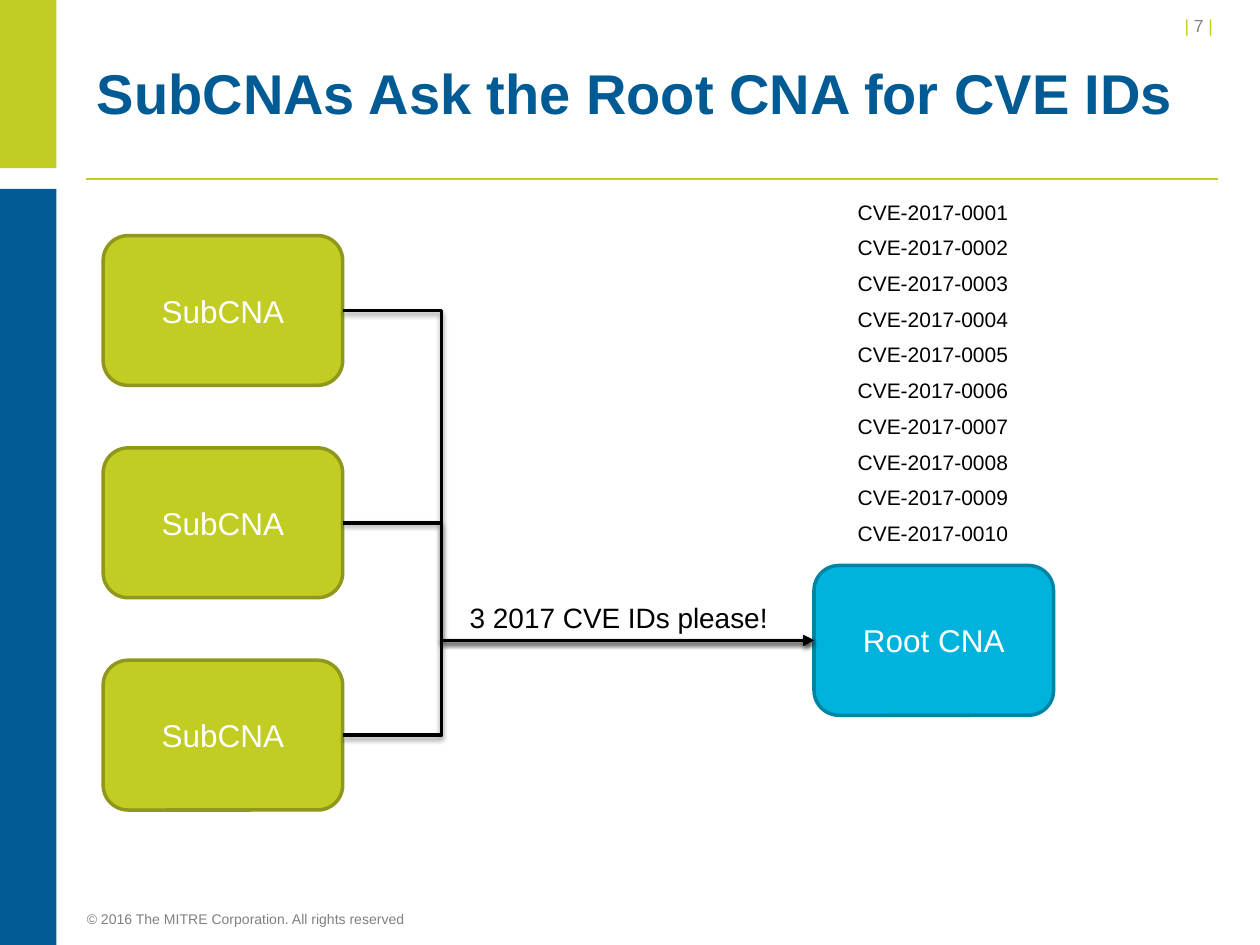
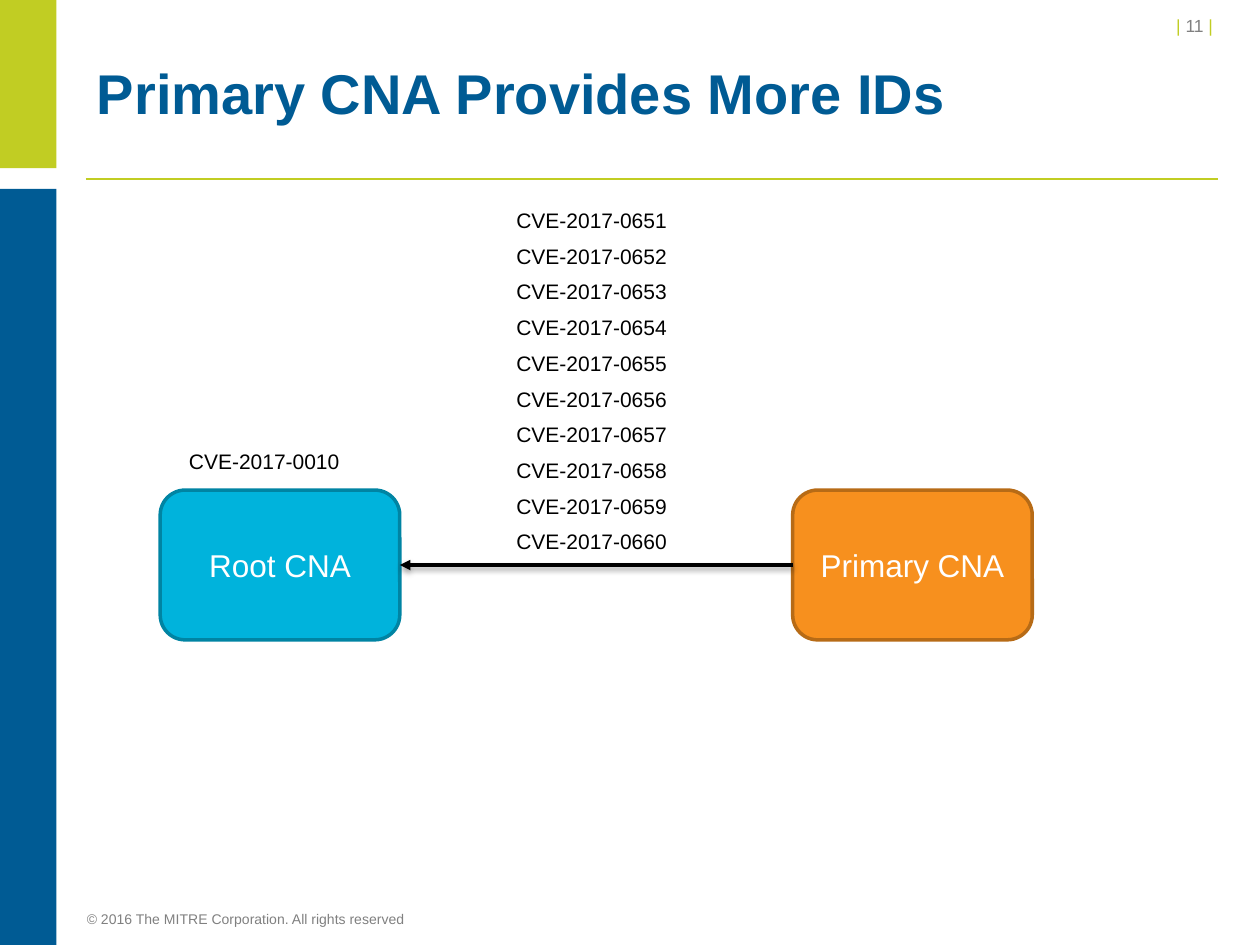
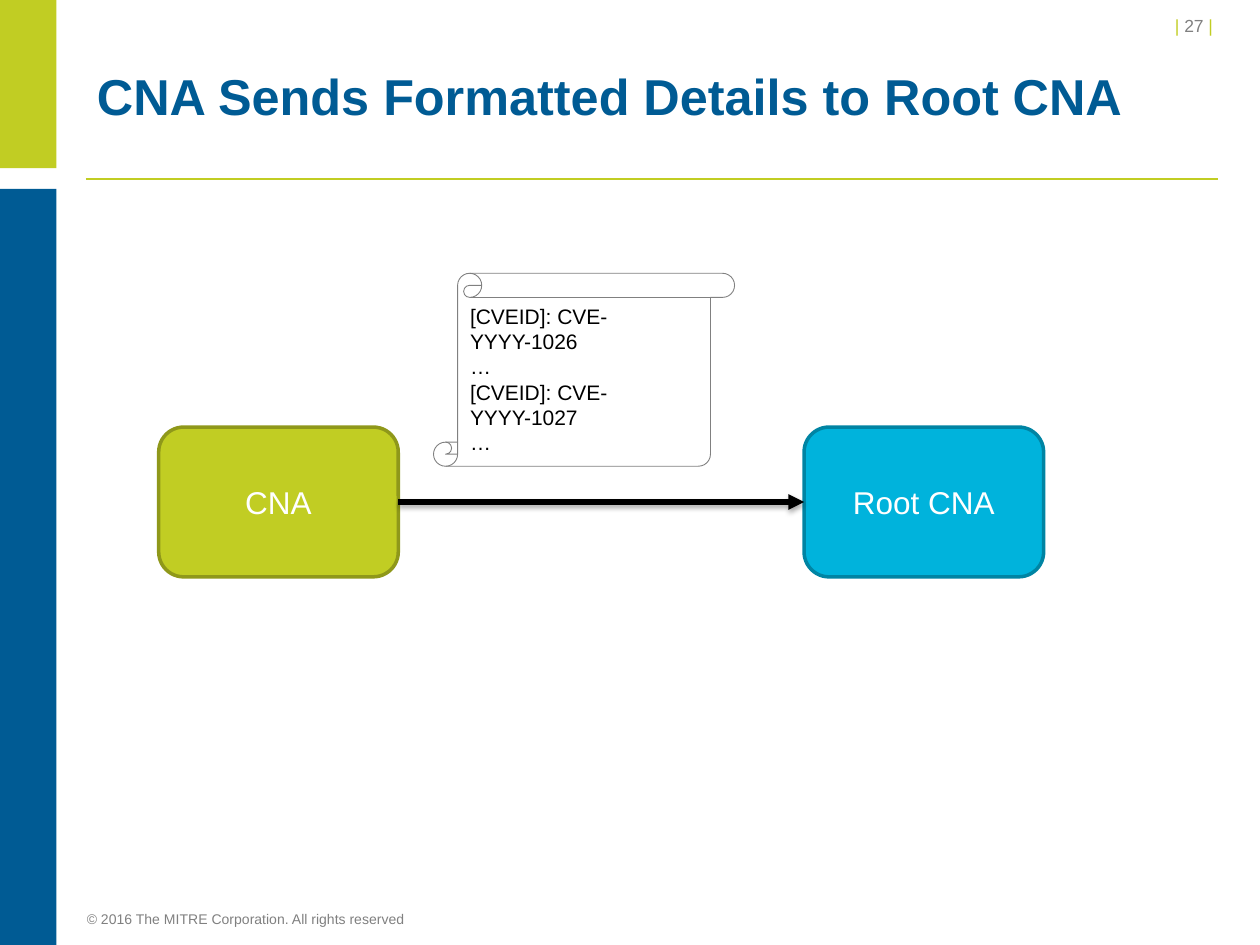
from dataclasses import dataclass

import pptx
import pptx.dml.color
import pptx.enum.shapes
import pptx.enum.text
import pptx.oxml
import pptx.oxml.ns
import pptx.util
from pptx.util import Cm

Shapes = pptx.enum.shapes.MSO_SHAPE
Connectors = pptx.enum.shapes.MSO_CONNECTOR
Anchor = pptx.enum.text.MSO_ANCHOR
Align = pptx.enum.text.PP_ALIGN
AutoSize = pptx.enum.text.MSO_AUTO_SIZE


@dataclass(frozen=True)
class Theme:
    font: str = "Arial"
    lime: str = "C1CD23"
    lime_edge: str = "8F981A"
    navy: str = "005B94"
    cyan: str = "00B3DC"
    cyan_edge: str = "0084A3"
    orange: str = "F7901E"
    orange_edge: str = "B76B16"
    gray: str = "808080"
    black: str = "000000"
    white: str = "FFFFFF"
    title_size: float = 32
    title_small_size: float = 28.8
    node_size: float = 18
    message_size: float = 16
    list_size: float = 12
    number_size: float = 10
    footer_size: float = 8


@dataclass(frozen=True)
class Box:
    """A region in centimetres."""
    left: float
    top: float
    width: float
    height: float

    def inner(self, left, top, width, height):
        return Box(self.left + left, self.top + top, width, height)

    def lengths(self):
        return Cm(self.left), Cm(self.top), Cm(self.width), Cm(self.height)


THEME = Theme()
PAGE = Box(0, 0, 25.4, 19.05)
BODY = Box(1.7, 3.6, 22.86, 14.5)
NODE = (4.83, 3.02)
ID_LIST = (3.56, 7.32)
FOOTER = "© 2016 The MITRE Corporation. All rights reserved"
LIME = (THEME.lime, THEME.lime_edge)
CYAN = (THEME.cyan, THEME.cyan_edge)
ORANGE = (THEME.orange, THEME.orange_edge)


# Basic parts
def rgb(color):
    return pptx.dml.color.RGBColor.from_string(color)


def style_font(font, size, color, bold=False):
    font.name = THEME.font
    font.size = pptx.util.Pt(size)
    font.bold = bold
    font.color.rgb = rgb(color)


def write(shape, text, size, color, align=Align.LEFT, space_after=0):
    shape.text_frame.text = text
    for paragraph in shape.text_frame.paragraphs:
        paragraph.alignment = align
        paragraph.space_after = pptx.util.Pt(space_after)
        for run in paragraph.runs:
            style_font(run.font, size, color)


def add_shape(slide, kind, box, fill=None, edge=None, edge_width=2):
    shape = slide.shapes.add_shape(kind, *box.lengths())
    shape.shadow.inherit = False
    if fill:
        shape.fill.solid()
        shape.fill.fore_color.rgb = rgb(fill)
    else:
        shape.fill.background()
    if edge:
        shape.line.color.rgb = rgb(edge)
        shape.line.width = pptx.util.Pt(edge_width)
    else:
        shape.line.fill.background()
    return shape


def add_node(slide, box, text, colors):
    node = add_shape(slide, Shapes.ROUNDED_RECTANGLE, box, *colors)
    node.text_frame.vertical_anchor = Anchor.MIDDLE
    write(node, text, THEME.node_size, THEME.white, Align.CENTER)
    return node


def add_label(slide, box, text, size=THEME.list_size):
    label = slide.shapes.add_textbox(*box.lengths())
    label.text_frame.word_wrap = False
    label.text_frame.auto_size = AutoSize.SHAPE_TO_FIT_TEXT
    write(label, text, size, THEME.black, space_after=6)


def id_lines(first, last):
    return "\n".join(f"CVE-2017-{number:04d}" for number in range(first, last + 1))


# Connectors
def style_line(connector, color, width, effects=""):
    connector.line.color.rgb = rgb(color)
    connector.line.width = pptx.util.Pt(width)
    namespace = pptx.oxml.ns.nsdecls("a")
    connector._element.spPr.append(pptx.oxml.parse_xml(
        f"<a:effectLst {namespace}>{effects}</a:effectLst>"))


def add_arrow(slide, start, start_side, end, end_side, width=2, opacity=38, bend=None):
    kind = Connectors.STRAIGHT if bend is None else Connectors.ELBOW
    arrow = slide.shapes.add_connector(kind, 0, 0, 0, 0)
    arrow.begin_connect(start, start_side)
    arrow.end_connect(end, end_side)
    style_line(arrow, THEME.black, width,
               '<a:outerShdw blurRad="39370" dist="20320" dir="5400000" rotWithShape="0">'
               f'<a:srgbClr val="{THEME.black}"><a:alpha val="{opacity * 1000}"/></a:srgbClr>'
               '</a:outerShdw>')
    namespace = pptx.oxml.ns.nsdecls("a")
    arrow.line._get_or_add_ln().append(
        pptx.oxml.parse_xml(f'<a:tailEnd {namespace} type="triangle"/>'))
    if bend is not None:
        geometry = arrow._element.spPr.find(pptx.oxml.ns.qn("a:prstGeom"))
        for child in list(geometry):
            geometry.remove(child)
        geometry.append(pptx.oxml.parse_xml(
            f'<a:avLst {namespace}><a:gd name="adj1" fmla="val {round(bend * 100000)}"/></a:avLst>'))


# Frame shared by all slides
def add_frame(slide, box, number):
    rule = slide.shapes.add_connector(
        Connectors.STRAIGHT, Cm(box.left + 1.73), Cm(box.top + 3.61),
        Cm(box.left + 24.56), Cm(box.top + 3.61))
    style_line(rule, THEME.lime, 1)
    add_shape(slide, Shapes.RECTANGLE, box.inner(0, 0, 1.14, 3.39), THEME.lime)
    add_shape(slide, Shapes.RECTANGLE, box.inner(0, 3.81, 1.14, 15.24), THEME.navy)

    page_number = slide.shapes.add_textbox(*box.inner(20.35, 0.18, 4.45, 0.69).lengths())
    page_number.text_frame.word_wrap = True
    paragraph = page_number.text_frame.paragraphs[0]
    paragraph.alignment = Align.RIGHT
    for text, color in (("| ", THEME.lime), (f"{number} ", THEME.gray), ("| ", THEME.lime)):
        run = paragraph.add_run()
        run.text = text
        style_font(run.font, THEME.number_size, color)

    footer = slide.shapes.add_textbox(*box.inner(1.75, 18.36, 12.7, 0.33).lengths())
    frame = footer.text_frame
    frame.word_wrap = True
    frame.margin_left = frame.margin_right = frame.margin_top = frame.margin_bottom = 0
    write(footer, FOOTER, THEME.footer_size, THEME.gray)


def set_title(slide, box, text, size):
    title = slide.shapes.title
    title.left, title.top, title.width, title.height = box.lengths()
    frame = title.text_frame
    frame.text = text
    frame.word_wrap = True
    frame.auto_size = AutoSize.NONE
    frame.vertical_anchor = Anchor.MIDDLE
    paragraph = frame.paragraphs[0]
    paragraph.alignment = Align.LEFT
    paragraph.line_spacing = pptx.util.Pt(32)
    style_font(paragraph.runs[0].font, size, THEME.navy, bold=True)


def start_slide(presentation, number, title, title_size=THEME.title_size):
    slide = presentation.slides.add_slide(presentation.slide_layouts[5])
    add_frame(slide, PAGE, number)
    set_title(slide, PAGE.inner(1.7, 0.76, 22.86, 2.41), title, title_size)
    return slide


# Slide bodies
def draw_id_request(slide, box):
    root = add_node(slide, box.inner(14.71, 7.8, *NODE), "Root CNA", CYAN)
    add_label(slide, box.inner(15.34, 0.29, *ID_LIST), id_lines(1, 10))
    for row in range(3):
        sub = add_node(slide, box.inner(0.38, 1.15 + 4.28 * row, *NODE), "SubCNA", LIME)
        add_arrow(slide, sub, 3, root, 1, bend=0.21)
    add_label(slide, box.inner(7.52, 8.39, 6.58, 0.94), "3 2017 CVE IDs please!",
              THEME.message_size)


def draw_id_supply(slide, box):
    root = add_node(slide, box.inner(1.53, 6.28, *NODE), "Root CNA", CYAN)
    add_label(slide, box.inner(1.86, 5.32, 3.56, 0.76), id_lines(10, 10))
    primary = add_node(slide, box.inner(14.28, 6.28, *NODE), "Primary CNA", ORANGE)
    add_arrow(slide, primary, 1, root, 3)
    add_label(slide, box.inner(8.46, 0.46, *ID_LIST), id_lines(651, 660))


def draw_details_transfer(slide, box):
    sender = add_node(slide, box.inner(1.5, 5.01, *NODE), "CNA", LIME)
    root = add_node(slide, box.inner(14.51, 5.01, *NODE), "Root CNA", CYAN)
    add_arrow(slide, sender, 3, root, 1, width=3, opacity=35)
    scroll = add_shape(slide, Shapes.VERTICAL_SCROLL, box.inner(7.04, 1.91, 6.07, 3.89),
                       edge=THEME.gray, edge_width=0.5)
    scroll.text_frame.vertical_anchor = Anchor.TOP
    details = "\n".join(f"[CVEID]: CVE-YYYY-{number}\n…" for number in (1026, 1027))
    write(scroll, details, THEME.list_size, THEME.black)


def main():
    presentation = pptx.Presentation()
    presentation.slide_width = Cm(PAGE.width)
    presentation.slide_height = Cm(PAGE.height)
    draw_id_request(
        start_slide(presentation, 7, "SubCNAs Ask the Root CNA for CVE IDs"), BODY)
    draw_id_supply(
        start_slide(presentation, 11, "Primary CNA Provides More IDs"), BODY)
    draw_details_transfer(
        start_slide(presentation, 27, "CNA Sends Formatted Details to Root CNA",
                    THEME.title_small_size), BODY)
    presentation.save("out.pptx")


if __name__ == "__main__":
    main()
